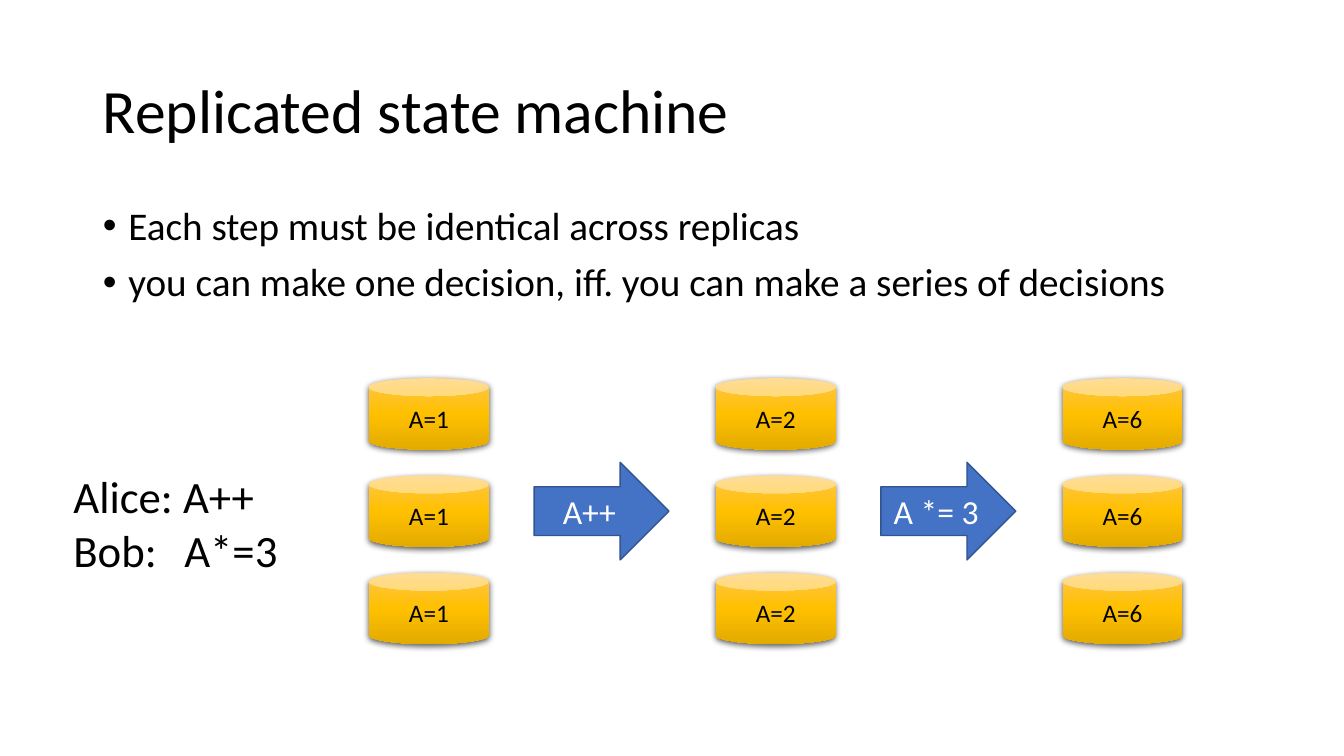
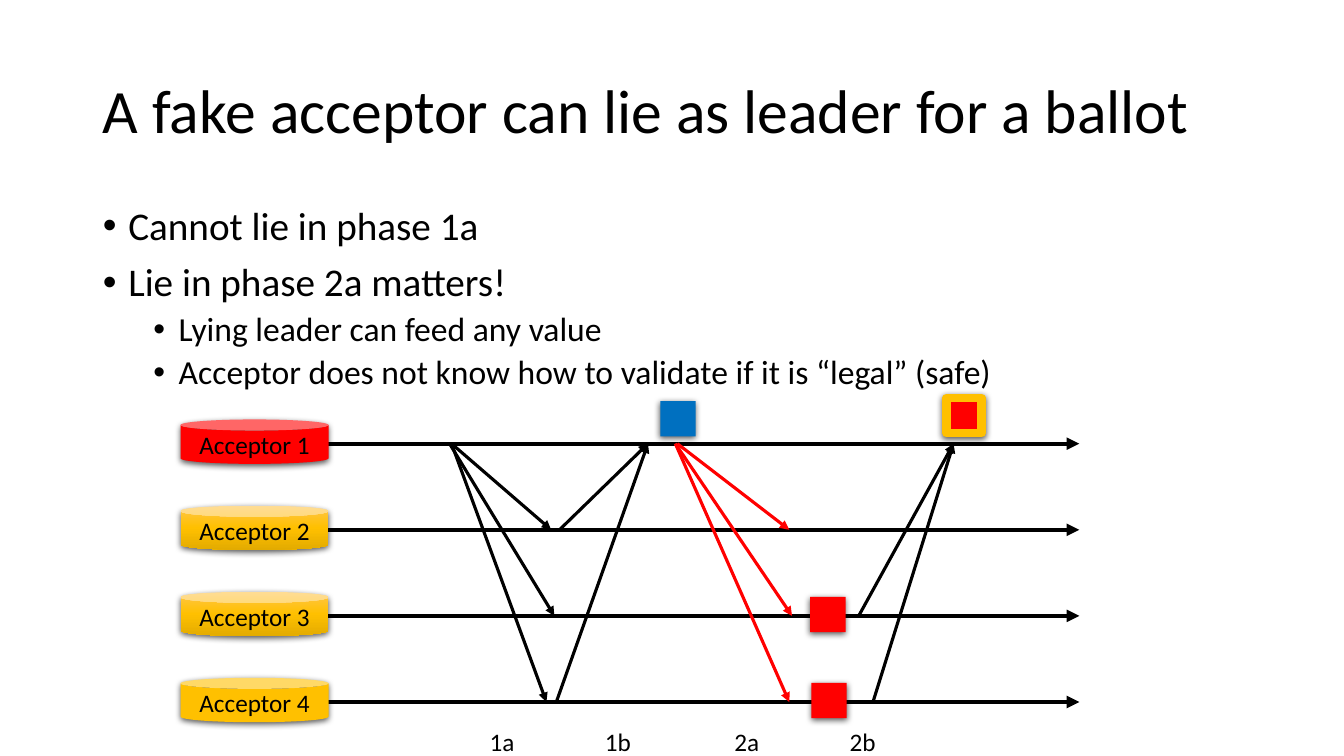
from pptx import Presentation
from pptx.dml.color import RGBColor
from pptx.enum.shapes import MSO_CONNECTOR as Connector, MSO_SHAPE as Preset
from pptx.enum.text import MSO_ANCHOR as Anchor, MSO_AUTO_SIZE as AutoSize, PP_ALIGN as Align
from pptx.oxml import parse_xml
from pptx.oxml.ns import nsdecls, qn
from pptx.util import Cm, Pt

FONT = "Calibri"
BLACK, WHITE, RED = "000000", "FFFFFF", "FF0000"
GOLD, BLUE, DARK_BLUE, VALUE_BLUE = "FFC000", "4472C4", "325491", "0070C0"
GOLD_STOPS = ((0, "FFC64B"), (50, GOLD), (100, "E3AB00"))
TITLE_BOX = (2.34, 1.02, 29.21, 3.68)
BODY_BOX = (2.34, 5.08, 29.21, 5)
FRAME = {"word_wrap": True, "auto_size": AutoSize.NONE}
TITLE_FORMAT = {"alignment": Align.LEFT, "line_spacing": 0.9}
LEVELS = (
    {"size": 28, "margin": 0.64, "before": 10},
    {"size": 24, "margin": 1.91, "before": 5},
)


def color(hex_text):
    """Turn a hex string into a colour."""
    return RGBColor.from_string(hex_text)


def apply(target, formats):
    """Set every attribute named in a dict of format values."""
    for name, value in formats.items():
        setattr(target, name, value)


def lengths(box):
    """Turn a box in centimetres into slide lengths."""
    return [Cm(value) for value in box]


def write(paragraph, text, size, hex_text=BLACK, **formats):
    """Write one formatted run into a paragraph."""
    run = paragraph.add_run()
    run.text = text
    apply(run.font, {"name": FONT, "size": Pt(size)})
    run.font.color.rgb = color(hex_text)
    apply(paragraph, formats)


def place(placeholder, box, anchor):
    """Move a placeholder to a box and return its text frame."""
    apply(placeholder, dict(zip(("left", "top", "width", "height"), lengths(box))))
    apply(placeholder.text_frame, FRAME | {"vertical_anchor": anchor})
    return placeholder.text_frame


def add_content_slide(presentation, title, bullets):
    """Add a slide with a title and a list of (level, text) bullets."""
    slide = presentation.slides.add_slide(presentation.slide_layouts[1])
    frame = place(slide.shapes.title, TITLE_BOX, Anchor.MIDDLE)
    write(frame.paragraphs[0], title, 44, **TITLE_FORMAT)
    frame = place(slide.placeholders[1], BODY_BOX, Anchor.TOP)
    for index, (level, text) in enumerate(bullets):
        paragraph = frame.add_paragraph() if index else frame.paragraphs[0]
        style = LEVELS[level]
        write(paragraph, text, style["size"], level=level, line_spacing=0.9,
              space_before=Pt(style["before"]))
        properties = paragraph._p.get_or_add_pPr()
        properties.set("marL", str(Cm(style["margin"])))
        properties.set("indent", str(Cm(-0.64)))
        properties.append(parse_xml(f'<a:buChar {nsdecls("a")} char="•"/>'))
    return slide


def add_text(slide, box, lines, size, alignment=Align.LEFT):
    """Add a text box with one paragraph for each line."""
    frame = slide.shapes.add_textbox(*lengths(box)).text_frame
    apply(frame, FRAME)
    for index, line in enumerate(lines):
        paragraph = frame.add_paragraph() if index else frame.paragraphs[0]
        write(paragraph, line, size, alignment=alignment)


def add_block(slide, preset, box, fill, text="", size=18, font_color=BLACK, line=None):
    """Add a filled shape with centred text and an optional (colour, width) line."""
    shape = slide.shapes.add_shape(preset, *lengths(box))
    shape.shadow.inherit = False
    shape.fill.solid()
    shape.fill.fore_color.rgb = color(fill)
    if line:
        shape.line.color.rgb = color(line[0])
        shape.line.width = Pt(line[1])
    else:
        shape.line.fill.background()
    apply(shape.text_frame, FRAME | {"vertical_anchor": Anchor.MIDDLE})
    if text:
        write(shape.text_frame.paragraphs[0], text, size, font_color, alignment=Align.CENTER)
    return shape


def add_shadow(shape):
    """Give a shape a soft shadow below it."""
    shape._element.spPr.find(qn("a:effectLst")).append(parse_xml(
        f'<a:outerShdw {nsdecls("a")} blurRad="{Pt(4.5)}" dist="{Pt(1.5)}" dir="5400000" '
        'algn="ctr" rotWithShape="0"><a:srgbClr val="000000"><a:alpha val="63000"/>'
        '</a:srgbClr></a:outerShdw>'))


def add_can(slide, box, text, fill=None):
    """Add a shadowed can, with the gold gradient unless a plain fill is given."""
    can = add_block(slide, Preset.CAN, box, fill or GOLD, text)
    add_shadow(can)
    if not fill:
        stops = "".join(f'<a:gs pos="{position * 1000}"><a:srgbClr val="{stop}"/></a:gs>'
                        for position, stop in GOLD_STOPS)
        properties = can._element.spPr
        properties.replace(properties.find(qn("a:solidFill")), parse_xml(
            f'<a:gradFill {nsdecls("a")} rotWithShape="1"><a:gsLst>{stops}</a:gsLst>'
            '<a:lin ang="5400000" scaled="0"/></a:gradFill>'))


def add_arrow(slide, start, end, hex_text, width):
    """Add a straight line with an arrowhead at its end."""
    arrow = slide.shapes.add_connector(Connector.STRAIGHT, *lengths(start + end))
    arrow.line.color.rgb = color(hex_text)
    arrow.line.width = Pt(width)
    arrow.line._get_or_add_ln().append(
        parse_xml(f'<a:tailEnd {nsdecls("a")} type="triangle"/>'))
    arrow._element.spPr.append(parse_xml(f'<a:effectLst {nsdecls("a")}/>'))


def draw_replicas(slide, box, states, steps):
    """Draw a column of three replicas for each state, with step arrows between."""
    left, top, width, height = box
    can_width, can_height, arrow_width, arrow_height = 3.02, 1.8, 3.4, 2.46
    column_pitch = (width - can_width) / (len(states) - 1)
    row_pitch = (height - can_height) / 2
    for column, state in enumerate(states):
        for row in range(3):
            add_can(slide, (left + column * column_pitch, top + row * row_pitch,
                            can_width, can_height), state)
    for column, step in enumerate(steps):
        add_block(slide, Preset.RIGHT_ARROW,
                  (left + column * column_pitch + 4.16, top + (height - arrow_height) / 2,
                   arrow_width, arrow_height),
                  BLUE, step, 24, WHITE, (DARK_BLUE, 1))


def draw_ballot(slide, box, acceptors, messages, values, phases):
    """Draw acceptor lanes, messages between them, proposed values and phase names."""
    left, top, width, height = box
    can_width, can_height, value_size, label_width = 3.73, 1.12, 0.89, 1.5
    pitch = height / (len(acceptors) - 1)
    lanes = [top + index * pitch for index in range(len(acceptors))]
    for lane, (name, fill) in zip(lanes, acceptors):
        add_arrow(slide, (left + 1.37, lane), (left + width, lane), BLACK, 3)
        add_can(slide, (left, lane - 0.61, can_width, can_height), name, fill)
    for start_lane, start, end_lane, end, hex_text in messages:
        add_arrow(slide, (left + start, lanes[start_lane]),
                  (left + end, lanes[end_lane]), hex_text, 2.25)
    for lane, offset, rise, fill, line in values:
        add_shadow(add_block(slide, Preset.RECTANGLE,
                             (left + offset, lanes[lane] - rise, value_size, value_size),
                             fill, line=line))
    for name, center in phases:
        add_text(slide, (left + center - label_width / 2, lanes[-1] + 0.5, label_width, 0.8),
                 [name], 18, Align.CENTER)


def build_state_machine(presentation):
    """Build the slide on replicated state machines."""
    slide = add_content_slide(presentation, "Replicated state machine", (
        (0, "Each step must be identical across replicas"),
        (0, "you can make one decision, iff. you can make a series of decisions"),
    ))
    draw_replicas(slide, (9.3, 9.53, 20.5, 6.7), ("A=1", "A=2", "A=6"), ("A++", "A *= 3"))
    add_text(slide, (1.6, 11.68, 9.22, 3), ("Alice: A++", "Bob:\t A*=3"), 32)


def build_lying_leader(presentation):
    """Build the slide on a lying leader."""
    slide = add_content_slide(presentation, "A fake acceptor can lie as leader for a ballot", (
        (0, "Cannot lie in phase 1a"),
        (0, "Lie in phase 2a matters!"),
        (1, "Lying leader can feed any value"),
        (1, "Acceptor does not know how to validate if it is “legal” (safe)"),
    ))
    acceptors = (("Acceptor 1", RED), ("Acceptor 2", None),
                 ("Acceptor 3", None), ("Acceptor 4", GOLD))
    messages = (
        (0, 6.83, 1, 9.34, BLACK), (0, 6.78, 2, 9.42, BLACK), (0, 6.83, 3, 9.22, BLACK),
        (1, 9.55, 0, 11.78, BLACK), (3, 9.47, 0, 11.78, BLACK),
        (0, 12.52, 1, 15.34, RED), (0, 12.47, 2, 15.41, RED), (0, 12.47, 3, 15.34, RED),
        (2, 17.09, 0, 19.48, BLACK), (3, 17.45, 0, 19.48, BLACK),
    )
    values = (
        (0, 12.09, 1.07, VALUE_BLUE, None), (0, 19.3, 1.15, RED, (GOLD, 6)),
        (2, 15.87, 0.48, RED, None), (3, 15.9, 0.48, RED, None),
    )
    phases = (("1a", 8.1), ("1b", 11.02), ("2a", 14.27), ("2b", 17.19))
    draw_ballot(slide, (4.55, 11.18, 22.65, 6.51), acceptors, messages, values, phases)


def main():
    """Build and save the presentation."""
    presentation = Presentation()
    apply(presentation, {"slide_width": Cm(33.87), "slide_height": Cm(19.05)})
    build_state_machine(presentation)
    build_lying_leader(presentation)
    presentation.save("out.pptx")


main()
